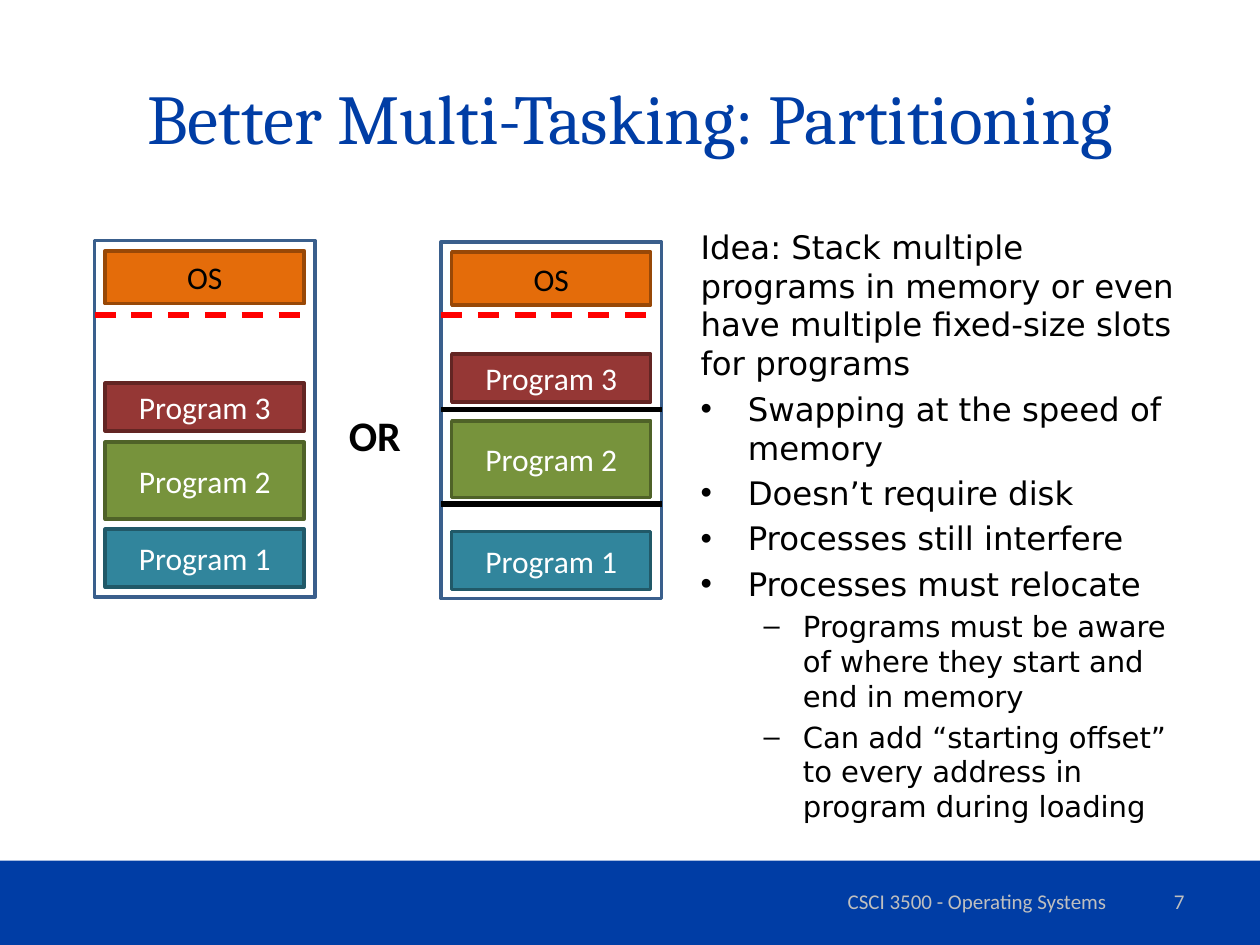
from lxml.etree import SubElement
from pptx import Presentation
from pptx.dml.color import RGBColor
from pptx.enum.dml import MSO_LINE
from pptx.enum.shapes import MSO_CONNECTOR, MSO_SHAPE
from pptx.enum.text import MSO_ANCHOR, MSO_AUTO_SIZE, PP_ALIGN
from pptx.oxml.ns import qn
from pptx.util import Inches, Pt

BLUE = RGBColor(0x00, 0x3D, 0xA5)
FRAME = RGBColor(0x3A, 0x5F, 0x8C)
RED = RGBColor(0xFF, 0x00, 0x00)
BLACK = RGBColor(0x00, 0x00, 0x00)
WHITE = RGBColor(0xFF, 0xFF, 0xFF)
GRAY = RGBColor(0xBF, 0xBF, 0xBF)

# Block name: height, fill, outline, text colour
BLOCKS = {
    "OS": (0.42, RGBColor(0xE4, 0x6C, 0x0A), RGBColor(0x98, 0x48, 0x07), BLACK),
    "Program 1": (0.46, RGBColor(0x31, 0x85, 0x9C), RGBColor(0x21, 0x59, 0x68), WHITE),
    "Program 2": (0.61, RGBColor(0x77, 0x93, 0x3C), RGBColor(0x4F, 0x62, 0x28), WHITE),
    "Program 3": (0.38, RGBColor(0x95, 0x37, 0x35), RGBColor(0x63, 0x25, 0x23), WHITE),
}
MEMORY_WIDTH, MEMORY_HEIGHT = 1.75, 2.83
BLOCK_MARGIN = 0.085
LIMIT_TOP = 2.5

# List level and text; the first paragraph is the lead without a bullet
IDEAS = [
    (0, "Idea: Stack multiple programs in memory or even have multiple "
        "fixed-size slots for programs"),
    (0, "Swapping at the speed of memory"),
    (0, "Doesn’t require disk"),
    (0, "Processes still interfere"),
    (0, "Processes must relocate"),
    (1, "Programs must be aware of where they start and end in memory"),
    (1, "Can add “starting offset” to every address in program during loading"),
]
IDEA_SIZES = (18.5, 16.6)


def place(shape, left, top, width, height):
    shape.left, shape.top = Inches(left), Inches(top)
    shape.width, shape.height = Inches(width), Inches(height)


def style_font(font, name, size, color, bold=False):
    font.name, font.size, font.bold = name, Pt(size), bold
    font.color.rgb = color


def write_text(shape, text, size, color, align, bold=False, name="Calibri"):
    text_frame = shape.text_frame
    text_frame.text = text
    text_frame.vertical_anchor = MSO_ANCHOR.MIDDLE
    paragraph = text_frame.paragraphs[0]
    paragraph.alignment = align
    style_font(paragraph.runs[0].font, name, size, color, bold)


def add_box(shapes, left, top, width, height, fill=None, outline=None):
    box = shapes.add_shape(MSO_SHAPE.RECTANGLE, Inches(left), Inches(top),
                           Inches(width), Inches(height))
    box.shadow.inherit = False
    if fill is None:
        box.fill.background()
    else:
        box.fill.solid()
        box.fill.fore_color.rgb = fill
    if outline is None:
        box.line.fill.background()
    else:
        box.line.color.rgb = outline
        box.line.width = Pt(2)
    return box


def add_divider(shapes, left, top, color, dash=None):
    line = shapes.add_connector(MSO_CONNECTOR.STRAIGHT, Inches(left), Inches(top),
                                Inches(left + MEMORY_WIDTH), Inches(top))
    line.line.color.rgb = color
    line.line.width = Pt(3)
    line.line.dash_style = dash
    SubElement(line.element.spPr, qn("a:effectLst"))


def add_memory(slide, left, top, block_tops, slot_tops=()):
    """Draw one memory column with its blocks, OS limit and slot borders."""
    shapes = slide.shapes.add_group_shape().shapes
    add_box(shapes, left, top, MEMORY_WIDTH, MEMORY_HEIGHT, outline=FRAME)
    for name, block_top in block_tops.items():
        height, fill, outline, color = BLOCKS[name]
        block = add_box(shapes, left + BLOCK_MARGIN, block_top,
                        MEMORY_WIDTH - 2 * BLOCK_MARGIN, height, fill, outline)
        write_text(block, name, 18, color, PP_ALIGN.CENTER)
    add_divider(shapes, left, LIMIT_TOP, RED, MSO_LINE.DASH)
    for slot_top in slot_tops:
        add_divider(shapes, left, slot_top, BLACK)


def add_label(slide, text, bounds, size, color, align, bold=False, wrap=True):
    label = slide.shapes.add_textbox(*(Inches(length) for length in bounds))
    label.text_frame.word_wrap = wrap
    write_text(label, text, size, color, align, bold)


def fill_body(body):
    place(body, 5.46, 1.75, 4.04, 5.08)
    text_frame = body.text_frame
    text_frame.auto_size = MSO_AUTO_SIZE.NONE
    for index, (level, text) in enumerate(IDEAS):
        paragraph = text_frame.add_paragraph() if index else text_frame.paragraphs[0]
        paragraph.text = text
        paragraph.level = level
        size = IDEA_SIZES[level]
        paragraph.space_before = Pt(round(0.2 * size, 1) if index else 0)
        style_font(paragraph.runs[0].font, "DejaVu Sans", size, BLACK)
    # Lead paragraph: flush left, no bullet
    properties = text_frame.paragraphs[0]._p.get_or_add_pPr()
    properties.set("marL", "0")
    properties.set("indent", "0")
    SubElement(properties, qn("a:buNone"))


def main():
    presentation = Presentation()
    presentation.slide_width, presentation.slide_height = Inches(10), Inches(7.5)
    slide = presentation.slides.add_slide(presentation.slide_layouts[1])

    # Title and list
    title, body = slide.placeholders
    place(title, 0.5, 0.3, 9, 1.25)
    write_text(title, "Better Multi-Tasking: Partitioning", 40, BLUE,
               PP_ALIGN.CENTER, name="Cambria")
    fill_body(body)

    # Footer band
    add_box(slide.shapes, 0, 6.83, 10, 0.67, fill=BLUE)
    add_label(slide, "CSCI 3500 - Operating Systems", (6.17, 6.95, 3.17, 0.4),
              12, GRAY, PP_ALIGN.CENTER)
    add_label(slide, "7", (7.17, 6.95, 2.33, 0.4), 12, GRAY, PP_ALIGN.RIGHT)

    # Stacked programs, or fixed-size slots
    add_memory(slide, 0.75, 1.91, {"OS": 1.99, "Program 1": 4.2,
                                   "Program 2": 3.51, "Program 3": 3.04})
    add_memory(slide, 3.5, 1.92, {"OS": 2, "Program 1": 4.22,
                                  "Program 2": 3.34, "Program 3": 2.81},
               slot_tops=(3.25, 4))
    add_label(slide, "OR", (2.67, 3.2, 0.62, 0.5), 24, BLACK, PP_ALIGN.LEFT,
              bold=True, wrap=False)

    presentation.save("out.pptx")


if __name__ == "__main__":
    main()
